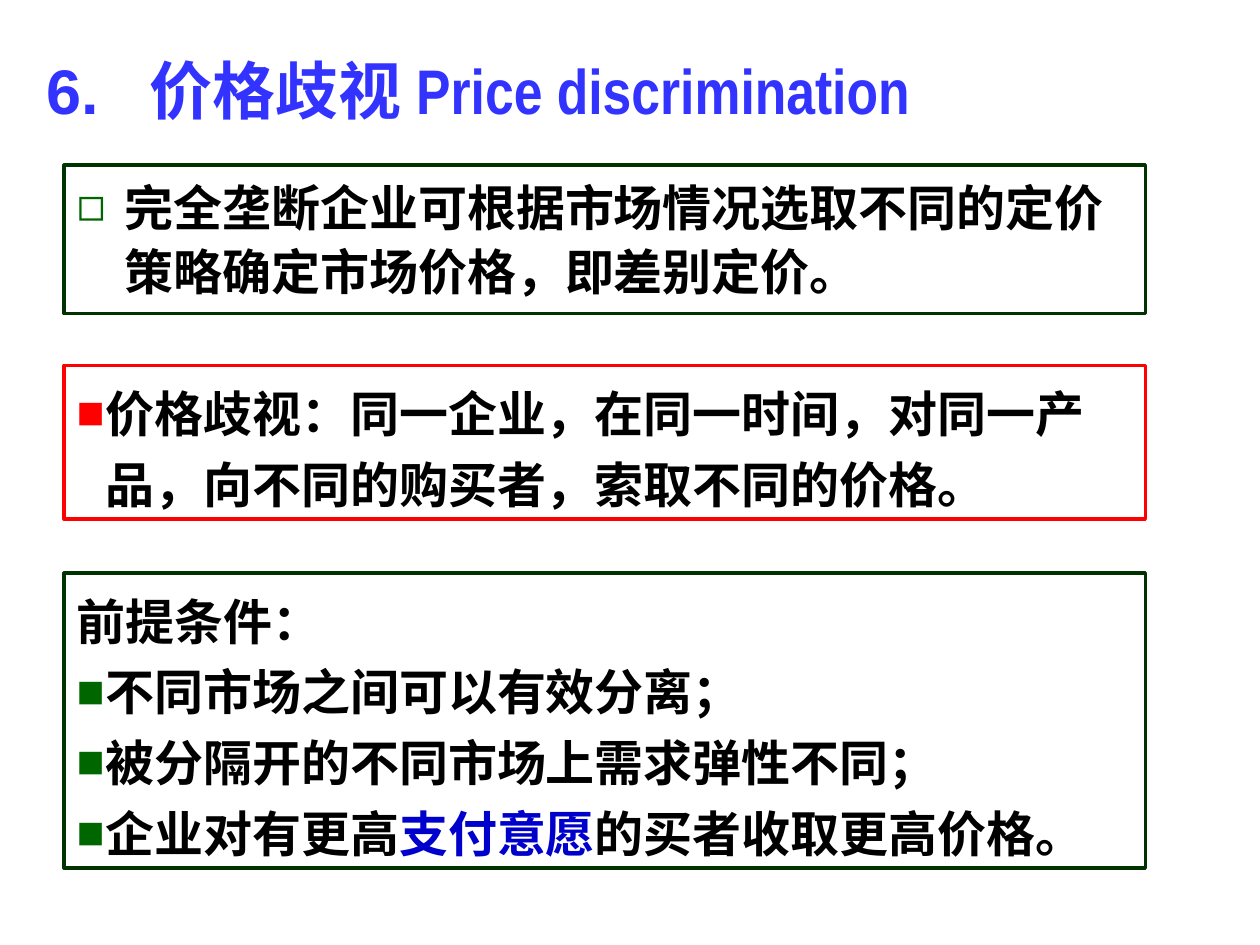
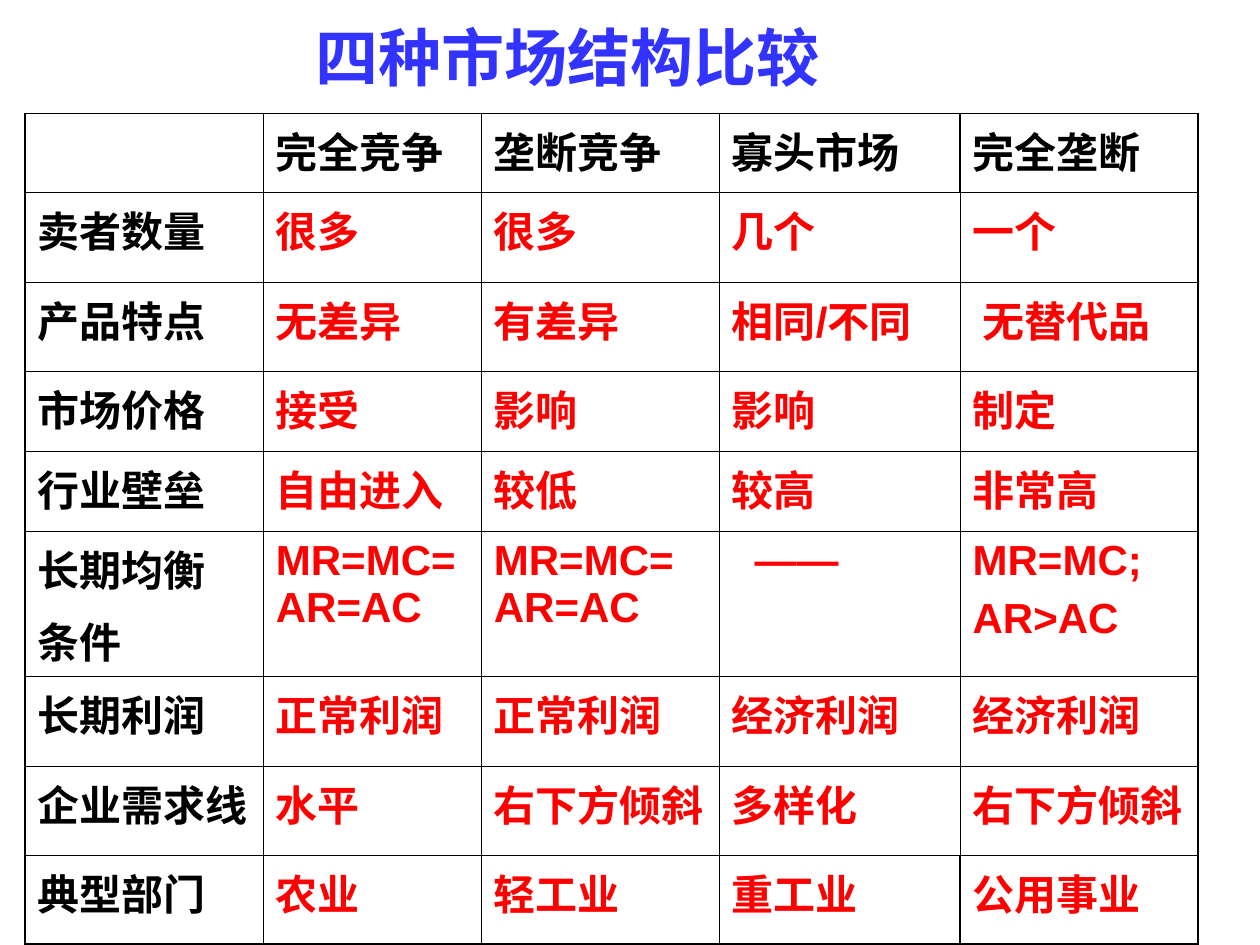
from typing import NamedTuple, Optional

import pptx
import pptx.dml.color
import pptx.enum.shapes
import pptx.enum.text
import pptx.oxml
import pptx.oxml.ns
import pptx.util
from pptx.util import Inches

COLORS = {
    "title": "3333FF",
    "text": "000000",
    "paper": "FFFFFF",
    "frame": "003300",
    "bullet": "006600",
    "alert": "FF0000",
    "key": "0000CC",
}
FONT = "Arial"
TITLE_SIZE, BODY_SIZE, TABLE_SIZE = 36, 28, 24
ANCHOR = pptx.enum.text.MSO_ANCHOR
ALIGN = pptx.enum.text.PP_ALIGN
THIN, THICK = 0.45, 1.08


class Run(NamedTuple):
    text: str
    color: str = "text"
    font: str = FONT


class Bullet(NamedTuple):
    char: str
    color: str
    hang: float


class Para(NamedTuple):
    runs: list[Run]
    bullet: Optional[Bullet] = None


class Box(NamedTuple):
    top: float
    height: float
    frame: str
    spacing: float
    anchor: ANCHOR
    paras: list[Para]


HOLLOW = Bullet("◻", "bullet", 0.38)
RED_SQUARE = Bullet("■", "alert", 0.23)
GREEN_SQUARE = Bullet("■", "bullet", 0.23)

BOX_LEFT, BOX_WIDTH = 0.51, 8.58
STRATEGY = Box(1.31, 1.18, "frame", 1.1, ANCHOR.TOP, [
    Para([Run("完全垄断企业可根据市场情况选取不同的定价策略确定市场价格，即差别定价。")], HOLLOW),
])
DEFINITION = Box(2.9, 1.22, "alert", 1.2, ANCHOR.MIDDLE, [
    Para([Run("价格歧视：同一企业，在同一时间，对同一产品，向不同的购买者，索取不同的价格。")], RED_SQUARE),
])
CONDITIONS = Box(4.55, 2.34, "frame", 1.2, ANCHOR.MIDDLE, [
    Para([Run("前提条件：")]),
    Para([Run("不同市场之间可以有效分离；")], GREEN_SQUARE),
    Para([Run("被分隔开的不同市场上需求弹性不同；")], GREEN_SQUARE),
    Para([Run("企业对有更高"), Run("支付意愿", "key"), Run("的买者收取更高价格。")], GREEN_SQUARE),
])

COL_WIDTHS = [1.89, 1.73, 1.89, 1.91, 1.89]
ROW_HEIGHTS = [0.63, 0.71, 0.71, 0.63, 0.64, 0.98, 0.71, 0.71, 0.7]
MARKETS = [
    ["", "完全竞争", "垄断竞争", "寡头市场", "完全垄断"],
    ["卖者数量", "很多", "很多", "几个", "一个"],
    ["产品特点", "无差异", "有差异", "相同/不同", "无替代品"],
    ["市场价格", "接受", "影响", "影响", "制定"],
    ["行业壁垒", "自由进入", "较低", "较高", "非常高"],
    ["长期均衡\n条件", "MR=MC=AR=AC", "MR=MC= AR=AC", "——", "MR=MC;\nAR>AC"],
    ["长期利润", "正常利润", "正常利润", "经济利润", "经济利润"],
    ["企业需求线", "水平", "右下方倾斜", "多样化", "右下方倾斜"],
    ["典型部门", "农业", "轻工业", "重工业", "公用事业"],
]
CELL_MARGIN = 0.1
WIDE_MARGINS = {(2, 4): 0.18, (5, 3): 0.28}


def rgb(name: str) -> pptx.dml.color.RGBColor:
    return pptx.dml.color.RGBColor.from_string(COLORS[name])


def sub(parent, tag: str, **attrs: object):
    """Append a DrawingML child element with the given attributes."""
    el = parent.makeelement(pptx.oxml.ns.qn(tag), {k: str(v) for k, v in attrs.items()})
    parent.append(el)
    return el


def add_run(p, run: Run, size: float) -> None:
    r = p.add_run()
    r.text = run.text
    r.font.name = run.font
    r.font.size = pptx.util.Pt(size)
    r.font.bold = True
    r.font.color.rgb = rgb(run.color)


def place(sp, left: float, top: float, width: float, height: float) -> None:
    sp.left, sp.top = Inches(left), Inches(top)
    sp.width, sp.height = Inches(width), Inches(height)


def prepare_frame(tf, anchor: ANCHOR) -> None:
    tf.word_wrap = True
    tf.auto_size = pptx.enum.text.MSO_AUTO_SIZE.NONE
    tf.vertical_anchor = anchor
    tf.margin_left = tf.margin_right = Inches(0.1)
    tf.margin_top = tf.margin_bottom = Inches(0.05)


def set_bullet(p, bullet: Optional[Bullet]) -> None:
    pPr = p._p.get_or_add_pPr()
    hang = Inches(bullet.hang) if bullet else 0
    pPr.set("marL", str(hang))
    pPr.set("indent", str(-hang))
    if bullet is None:
        sub(pPr, "a:buNone")
        return
    sub(sub(pPr, "a:buClr"), "a:srgbClr", val=COLORS[bullet.color])
    sub(pPr, "a:buSzPct", val=95000)
    sub(pPr, "a:buFont", typeface=FONT)
    sub(pPr, "a:buChar", char=bullet.char)


def set_title(s, at: tuple[float, float, float, float], runs: list[Run],
              anchor: ANCHOR, align: ALIGN, tab: Optional[float] = None) -> None:
    sp = s.shapes.title
    place(sp, *at)
    prepare_frame(sp.text_frame, anchor)
    p = sp.text_frame.paragraphs[0]
    if tab is not None:
        tabs = sub(p._p.get_or_add_pPr(), "a:tabLst")
        sub(tabs, "a:tab", pos=Inches(tab), algn="l")
    p.alignment = align
    for run in runs:
        add_run(p, run, TITLE_SIZE)


def fill_box(sp, box: Box) -> None:
    place(sp, BOX_LEFT, box.top, BOX_WIDTH, box.height)
    sp.fill.solid()
    sp.fill.fore_color.rgb = rgb("paper")
    sp.line.color.rgb = rgb(box.frame)
    sp.line.width = pptx.util.Pt(2)
    tf = sp.text_frame
    prepare_frame(tf, box.anchor)
    for i, para in enumerate(box.paras):
        p = tf.add_paragraph() if i else tf.paragraphs[0]
        set_bullet(p, para.bullet)
        p.alignment = ALIGN.LEFT
        p.line_spacing = box.spacing
        p.space_before = pptx.util.Pt(0)
        for run in para.runs:
            add_run(p, run, BODY_SIZE)


def add_box(s, box: Box) -> None:
    sp = s.shapes.add_shape(pptx.enum.shapes.MSO_SHAPE.RECTANGLE, 0, 0, 0, 0)
    sp.shadow.inherit = False
    fill_box(sp, box)


def set_borders(cell, row: int, col: int) -> None:
    """Heavy outer frame, heavy rule above the last row, thin lines elsewhere."""
    last_row, last_col = len(ROW_HEIGHTS) - 1, len(COL_WIDTHS) - 1
    end_row = row in (0, last_row)
    heavy = {
        "a:lnL": col == 0 or (end_row and col == last_col),
        "a:lnR": col == last_col or (end_row and col == last_col - 1),
        "a:lnT": row in (0, last_row),
        "a:lnB": row >= last_row - 1,
    }
    tcPr = cell._tc.get_or_add_tcPr()
    for i, (tag, is_heavy) in enumerate(heavy.items()):
        ln = sub(tcPr, tag, w=pptx.util.Pt(THICK if is_heavy else THIN))
        sub(sub(ln, "a:solidFill"), "a:srgbClr", val=COLORS["text"])
        tcPr.remove(ln)
        tcPr.insert(i, ln)


def fill_cell(cell, row: int, col: int, text: str) -> None:
    cell.fill.solid()
    cell.fill.fore_color.rgb = rgb("paper")
    cell.margin_left = Inches(WIDE_MARGINS.get((row, col), CELL_MARGIN))
    cell.margin_right = Inches(CELL_MARGIN)
    cell.margin_top = cell.margin_bottom = Inches(0.05)
    set_borders(cell, row, col)
    color = "alert" if row and col else "text"
    tf = cell.text_frame
    for i, line in enumerate(text.split("\n")):
        p = tf.add_paragraph() if i else tf.paragraphs[0]
        if i:
            p.space_before = pptx.util.Pt(6)
        if line:
            add_run(p, Run(line, color), TABLE_SIZE)


def add_market_table(s) -> None:
    frame = s.shapes.add_table(
        len(ROW_HEIGHTS), len(COL_WIDTHS), Inches(0.2), Inches(0.9),
        Inches(sum(COL_WIDTHS)), Inches(sum(ROW_HEIGHTS)))
    table = frame.table
    table.first_row = table.horz_banding = False
    for column, width in zip(table.columns, COL_WIDTHS):
        column.width = Inches(width)
    for row, height in zip(table.rows, ROW_HEIGHTS):
        row.height = Inches(height)
    for i, texts in enumerate(MARKETS):
        for j, text in enumerate(texts):
            fill_cell(table.cell(i, j), i, j, text)


def build_discrimination(prs) -> None:
    s = prs.slides.add_slide(prs.slide_layouts[1])
    set_title(s, (0.27, 0.36, 9.45, 0.7),
              [Run("6.\t价格歧视 ", "title"),
               Run("Price discrimination", "title", "Arial Narrow")],
              ANCHOR.TOP, ALIGN.LEFT, tab=0.82)
    fill_box(s.placeholders[1], STRATEGY)
    for box in (DEFINITION, CONDITIONS):
        add_box(s, box)


def build_comparison(prs) -> None:
    s = prs.slides.add_slide(prs.slide_layouts[5])
    set_title(s, (0, 0.21, 9, 0.47), [Run("四种市场结构比较", "title")],
              ANCHOR.MIDDLE, ALIGN.CENTER)
    add_market_table(s)


def main() -> None:
    prs = pptx.Presentation()
    prs.slide_width, prs.slide_height = Inches(10), Inches(7.5)
    build_discrimination(prs)
    build_comparison(prs)
    prs.save("out.pptx")


if __name__ == "__main__":
    main()
